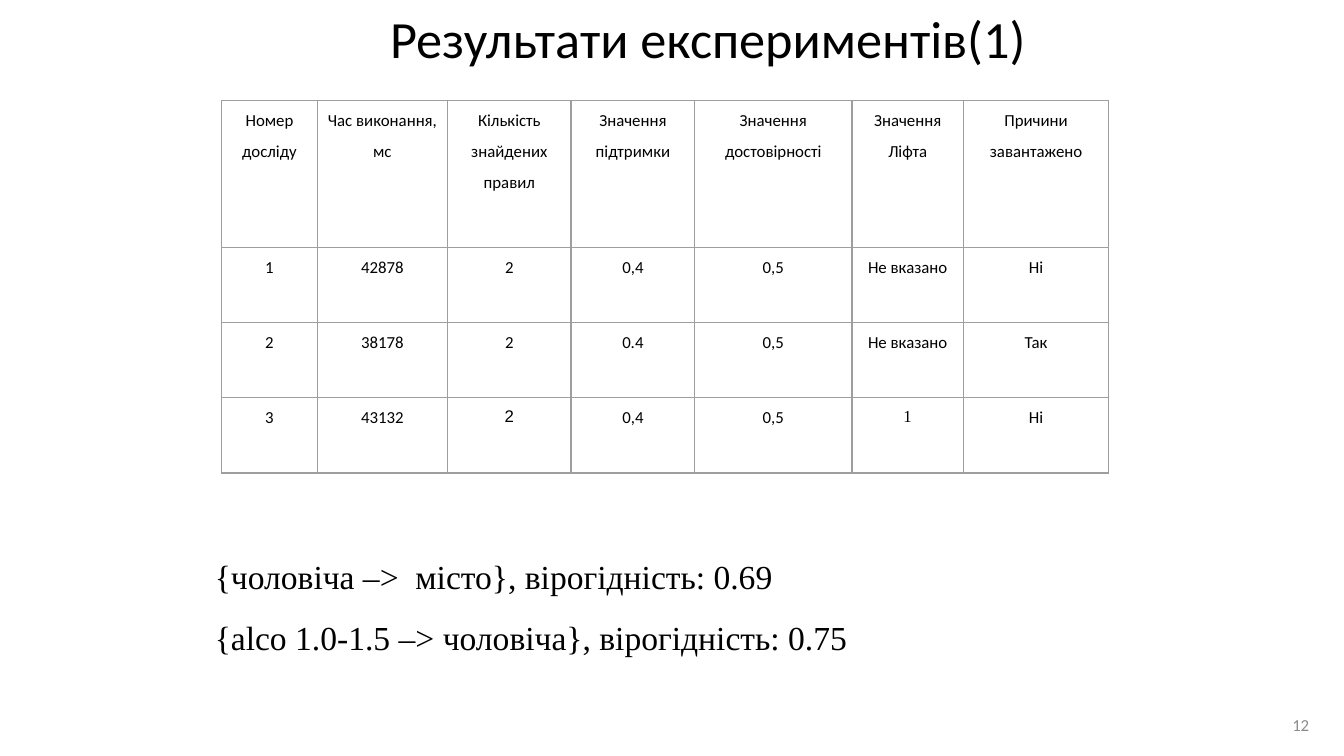
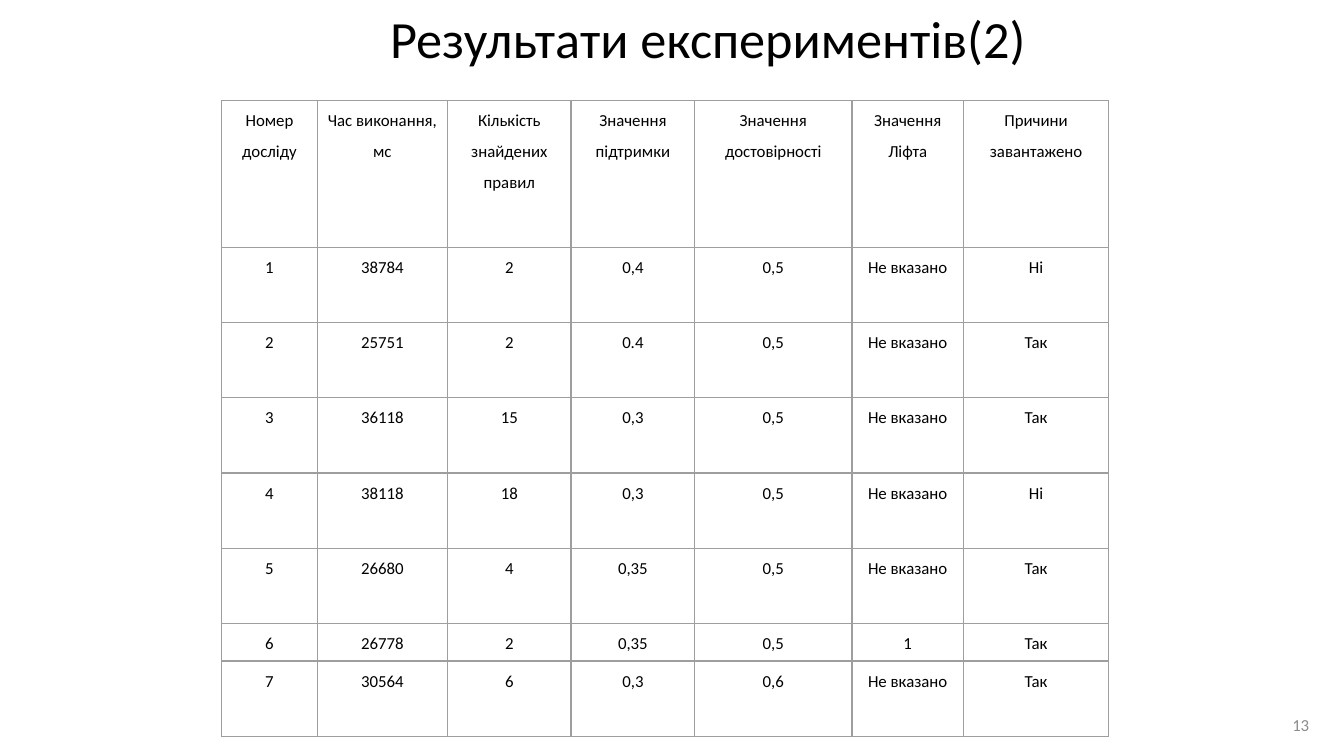
from dataclasses import dataclass

from lxml.etree import SubElement
from pptx import Presentation
from pptx.dml.color import RGBColor
from pptx.enum.text import MSO_ANCHOR, PP_ALIGN
from pptx.oxml.ns import qn
from pptx.util import Inches, Pt


@dataclass(frozen=True)
class Theme:
    ink: str = "000000"
    muted: str = "8C8C8C"
    grid: str = "9E9E9E"
    background: str = "FFFFFF"
    font: str = "Calibri"
    rule_font: str = "Times New Roman"
    title_size: float = 28
    rule_size: float = 18
    small_size: float = 9
    grid_width: float = 0.75


THEME = Theme()
SLIDE_WIDTH = 10
SLIDE_HEIGHT = SLIDE_WIDTH * 9 / 16
UNSET = "Не вказано"
HEADERS = (
    "Номер досліду", "Час виконання, мс", "Кількість знайдених правил",
    "Значення підтримки", "Значення достовірності", "Значення Ліфта",
    "Причини завантажено",
)
COLUMN_WIDTHS = (0.71, 0.97, 0.92, 0.92, 1.17, 0.83, 1.08)
HEADER_HEIGHT, ROW_HEIGHT, SHORT_ROW_HEIGHT = 1.09, 0.56, 0.28

EXPERIMENTS = [
    {
        "title": "Результати експериментів(1)",
        "number": "12",
        "rows": [
            ("1", "42878", "2", "0,4", "0,5", UNSET, "Ні"),
            ("2", "38178", "2", "0.4", "0,5", UNSET, "Так"),
            ("3", "43132", "2", "0,4", "0,5", "1", "Ні"),
        ],
        "cell_fonts": {(3, 2): "Arial", (3, 5): THEME.rule_font},
        "rules": [
            "{чоловіча –>  місто}, вірогідність: 0.69",
            "{alco 1.0-1.5 –> чоловіча}, вірогідність: 0.75",
        ],
    },
    {
        "title": "Результати експериментів(2)",
        "number": "13",
        "rows": [
            ("1", "38784", "2", "0,4", "0,5", UNSET, "Ні"),
            ("2", "25751", "2", "0.4", "0,5", UNSET, "Так"),
            ("3", "36118", "15", "0,3", "0,5", UNSET, "Так"),
            ("4", "38118", "18", "0,3", "0,5", UNSET, "Ні"),
            ("5", "26680", "4", "0,35", "0,5", UNSET, "Так"),
            ("6", "26778", "2", "0,35", "0,5", "1", "Так"),
            ("7", "30564", "6", "0,3", "0,6", UNSET, "Так"),
        ],
        "short_rows": {6},
    },
]


def write_text(frame, lines, size=THEME.small_size, font=THEME.font, color=THEME.ink,
               align=PP_ALIGN.CENTER, spacing=1.5, indent=0):
    for index, line in enumerate(lines):
        paragraph = frame.add_paragraph() if index else frame.paragraphs[0]
        paragraph.alignment = align
        paragraph.line_spacing = spacing
        if indent:
            properties = paragraph._p.get_or_add_pPr()
            properties.set("marL", "0")
            properties.set("indent", str(Inches(indent)))
        run = paragraph.add_run()
        run.text = line
        run.font.size = Pt(size)
        run.font.name = font
        run.font.color.rgb = RGBColor.from_string(color)


def add_text_box(slide, box, lines, anchor=MSO_ANCHOR.TOP, vertical_inset=0.1, **text_format):
    frame = slide.shapes.add_textbox(*map(Inches, box)).text_frame
    frame.word_wrap = True
    frame.vertical_anchor = anchor
    frame.margin_left = frame.margin_right = Inches(0.1)
    frame.margin_top = frame.margin_bottom = Inches(vertical_inset)
    write_text(frame, lines, **text_format)


def outline_cell(cell):
    properties = cell._tc.get_or_add_tcPr()
    for side in ("L", "R", "T", "B"):
        line = SubElement(properties, qn(f"a:ln{side}"), w=str(Pt(THEME.grid_width)))
        fill = SubElement(line, qn("a:solidFill"))
        SubElement(fill, qn("a:srgbClr"), val=THEME.grid)


def add_results_table(slide, rows, short_rows=(), cell_fonts=None):
    cell_fonts = cell_fonts or {}
    content = [HEADERS, *rows]
    heights = [HEADER_HEIGHT] + [
        SHORT_ROW_HEIGHT if number in short_rows else ROW_HEIGHT
        for number in range(1, len(content))
    ]
    box = (1.65, 0.75, sum(COLUMN_WIDTHS), sum(heights))
    table = slide.shapes.add_table(len(content), len(HEADERS), *map(Inches, box)).table
    table.first_row = table.horz_banding = False
    for column, width in zip(table.columns, COLUMN_WIDTHS):
        column.width = Inches(width)
    for row_index, (values, height) in enumerate(zip(content, heights)):
        table.rows[row_index].height = Inches(height)
        for column_index, value in enumerate(values):
            cell = table.cell(row_index, column_index)
            cell.margin_left = cell.margin_right = Inches(0.05)
            cell.margin_top = cell.margin_bottom = 0
            outline_cell(cell)
            cell.fill.background()
            font = cell_fonts.get((row_index, column_index), THEME.font)
            write_text(cell.text_frame, [value], font=font)


def add_experiment_slide(presentation, experiment):
    slide = presentation.slides.add_slide(presentation.slide_layouts[6])
    slide.background.fill.solid()
    slide.background.fill.fore_color.rgb = RGBColor.from_string(THEME.background)
    add_text_box(slide, (1.42, 0, 7.69, 0.6), [experiment["title"]],
                 size=THEME.title_size, spacing=0.9)
    add_text_box(slide, (9.24, 5.18, 0.6, 0.43), [experiment["number"]],
                 anchor=MSO_ANCHOR.MIDDLE, color=THEME.muted,
                 align=PP_ALIGN.RIGHT, spacing=1.0)
    add_results_table(slide, experiment["rows"], experiment.get("short_rows", ()),
                      experiment.get("cell_fonts"))
    if "rules" in experiment:
        add_text_box(slide, (1.11, 3.94, 7.13, 1.01), experiment["rules"],
                     vertical_inset=0.05, size=THEME.rule_size, font=THEME.rule_font,
                     align=PP_ALIGN.JUSTIFY, indent=0.39)


presentation = Presentation()
presentation.slide_width = Inches(SLIDE_WIDTH)
presentation.slide_height = Inches(SLIDE_HEIGHT)
for experiment in EXPERIMENTS:
    add_experiment_slide(presentation, experiment)
presentation.save("out.pptx")
